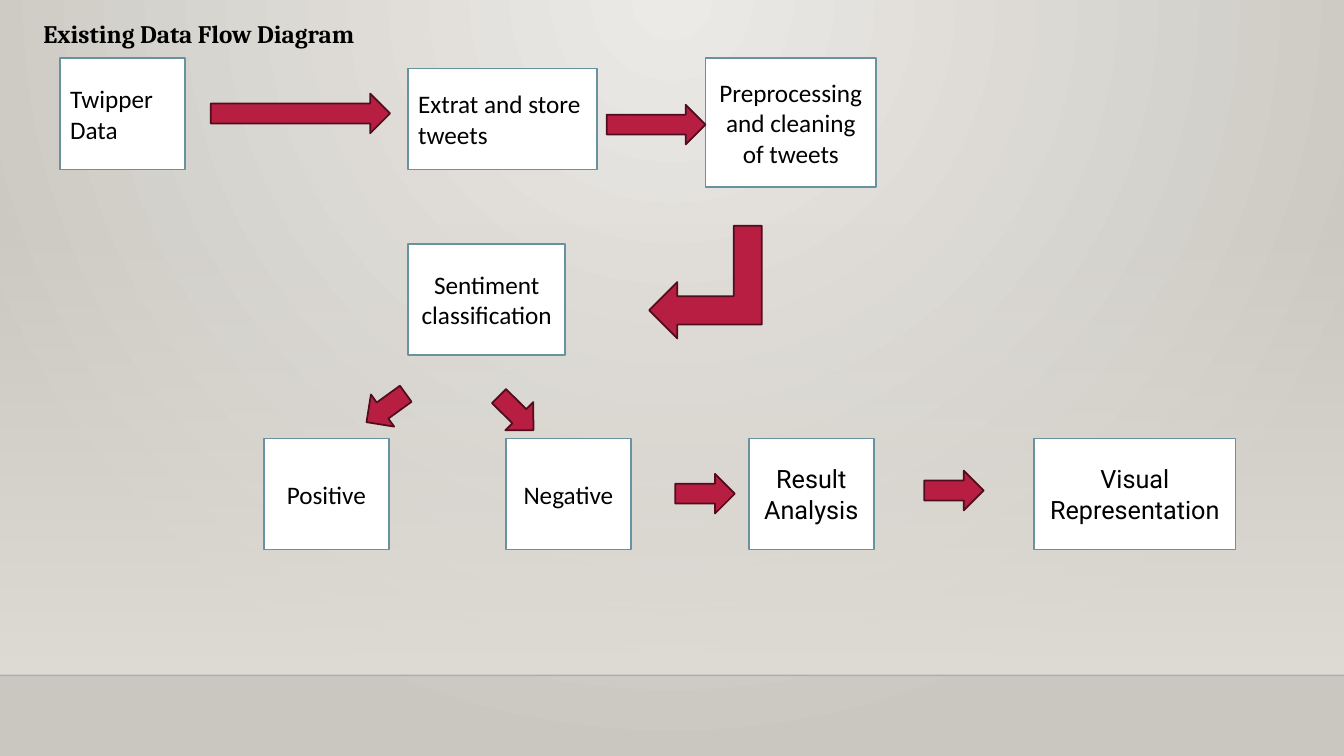
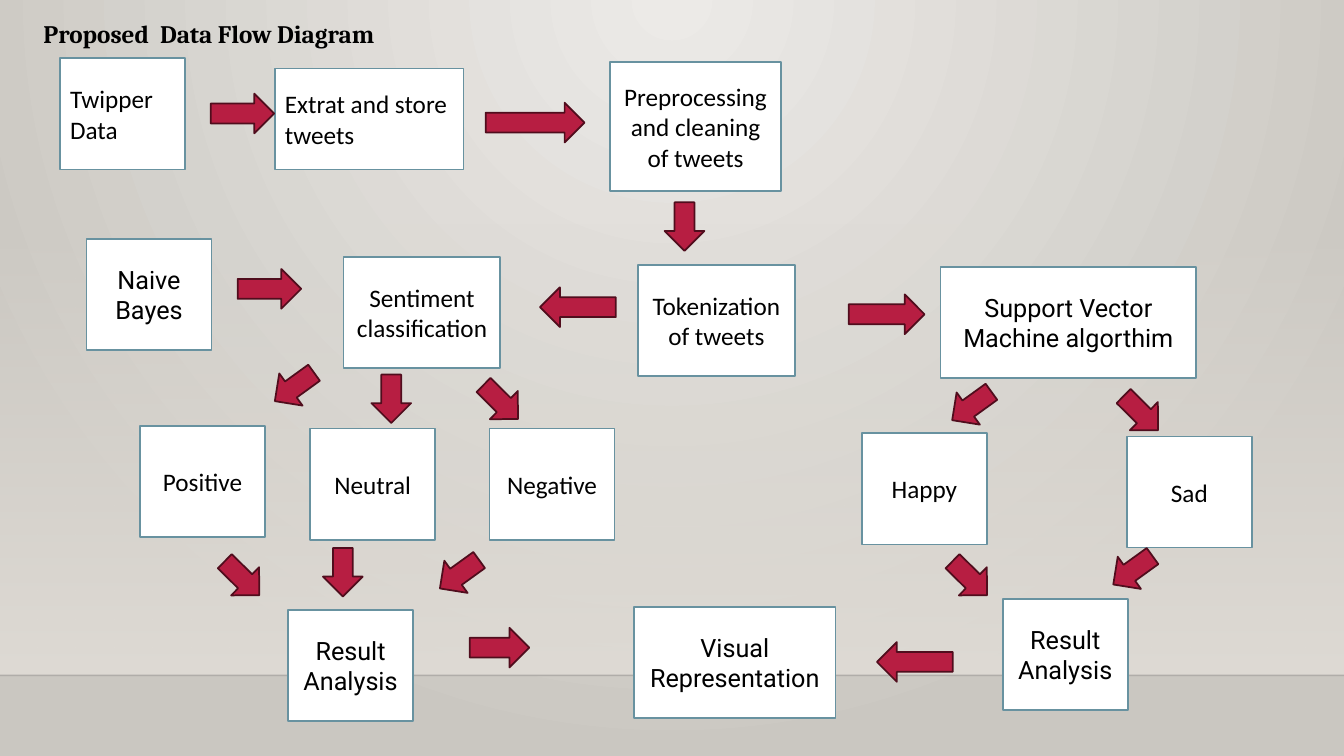
"""Build two data flow diagram slides for sentiment analysis of tweets."""
import pptx
import pptx.dml.color
import pptx.enum.shapes
import pptx.enum.text
import pptx.oxml
import pptx.oxml.ns
import pptx.util

Cm, Pt = pptx.util.Cm, pptx.util.Pt
qn = pptx.oxml.ns.qn
PRESET = pptx.enum.shapes.MSO_SHAPE
LEFT, CENTER = pptx.enum.text.PP_ALIGN.LEFT, pptx.enum.text.PP_ALIGN.CENTER

COLORS = {
    "glow": "ECEAE7", "backdrop": "CAC7C1", "band": "DFDBD5", "rule": "000001",
    "box": "FFFFFF", "box_edge": "6892A0", "arrow": "B71E42", "arrow_edge": "500D1D",
    "text": "000000",
}
RGB = {part: pptx.dml.color.RGBColor.from_string(value) for part, value in COLORS.items()}

STEPS = {
    "source": (["Twipper", "Data"], 3.15, 2.8, "Calibri", LEFT),
    "extract": (["Extrat and store tweets"], 4.75, 2.54, "Calibri", LEFT),
    "clean": (["Preprocessing and cleaning of tweets"], 4.3, 3.25, "Calibri", CENTER),
    "tokenize": (["Tokenization of tweets"], 3.95, 2.8, "Calibri", CENTER),
    "classify": (["Sentiment classification"], 3.95, 2.8, "Calibri", CENTER),
    "bayes": (["Naive Bayes"], 3.15, 2.8, "Roboto", CENTER),
    "svm": (["Support Vector Machine algorthim"], 6.45, 2.8, "Roboto", CENTER),
    "positive": (["Positive"], 3.15, 2.8, "Calibri", CENTER),
    "neutral": (["Neutral"], 3.15, 2.8, "Calibri", CENTER),
    "negative": (["Negative"], 3.15, 2.8, "Calibri", CENTER),
    "happy": (["Happy"], 3.15, 2.8, "Calibri", CENTER),
    "sad": (["Sad"], 3.15, 2.8, "Calibri", CENTER),
    "result": (["Result Analysis"], 3.15, 2.8, "Roboto", CENTER),
    "visual": (["Visual Representation"], 5.08, 2.8, "Roboto", CENTER),
}

DIRECTIONS = {
    "right": (PRESET.RIGHT_ARROW, 0, 1),
    "left": (PRESET.RIGHT_ARROW, 180, 1),
    "down": (PRESET.RIGHT_ARROW, 90, 1),
    "down_left": (PRESET.RIGHT_ARROW, 144.1, 1),
    "down_right": (PRESET.RIGHT_ARROW, 44.7, 1),
    "turn_left": (PRESET.BENT_UP_ARROW, 90, 2.84),
}
SHORT = 1.22

DIAGRAMS = [
    (
        "Existing Data Flow Diagram",
        [
            ("source", 1.52, 1.47), ("extract", 10.29, 1.73), ("clean", 17.78, 1.47),
            ("classify", 10.29, 6.15), ("positive", 6.65, 11.05),
            ("negative", 12.75, 11.05), ("result", 18.87, 11.05),
            ("visual", 26.06, 11.05),
        ],
        [
            ("right", 5.31, 2.36, 4.52), ("right", 15.29, 2.64, 2.49),
            ("turn_left", 16.36, 5.69, 2.84), ("down_left", 9.12, 9.78, SHORT),
            ("down_right", 12.4, 9.91, SHORT), ("right", 17.02, 11.94, 1.5),
            ("right", 23.29, 11.86, 1.5),
        ],
    ),
    (
        "Proposed  Data Flow Diagram",
        [
            ("source", 1.52, 1.47), ("extract", 6.93, 1.73), ("clean", 15.38, 1.57),
            ("bayes", 2.18, 6.02), ("classify", 8.66, 6.48), ("tokenize", 16.08, 6.68),
            ("svm", 23.7, 6.73), ("positive", 3.53, 10.74), ("neutral", 7.82, 10.8),
            ("negative", 12.34, 10.8), ("happy", 21.72, 10.92), ("sad", 28.4, 11),
            ("result", 7.26, 15.37), ("visual", 15.98, 15.29), ("result", 25.27, 15.09),
        ],
        [
            ("right", 5.31, 2.36, 1.6), ("right", 12.24, 2.59, 2.49),
            ("down", 16.64, 5.21, SHORT), ("right", 5.99, 6.78, 1.6),
            ("left", 13.61, 7.24, 1.91), ("right", 21.39, 7.42, 1.91),
            ("down_left", 6.81, 9.25, SHORT), ("down", 9.25, 9.55, SHORT),
            ("down_right", 12.01, 9.63, SHORT), ("down_left", 23.88, 9.73, SHORT),
            ("down_right", 28.14, 9.91, SHORT), ("down_right", 5.49, 14.07, SHORT),
            ("down", 8.03, 13.92, SHORT), ("down_left", 10.97, 13.97, SHORT),
            ("down_right", 23.83, 14.07, SHORT), ("down_left", 27.94, 13.87, SHORT),
            ("right", 11.84, 15.82, 1.5), ("left", 22.1, 16.18, 1.91),
        ],
    ),
]


def set_alpha(element, percent):
    """Make the first colour inside an element partly transparent."""
    color = element.find(".//" + qn("a:srgbClr"))
    pptx.oxml.ns  # namespace helpers
    color.append(pptx.oxml.parse_xml(
        f'<a:alpha {pptx.oxml.ns.nsdecls("a")} val="{percent * 1000}"/>'))


def add_block(slide, preset, bounds, fill, edge):
    """Add a flat filled shape with bounds in centimetres."""
    block = slide.shapes.add_shape(preset, *[Cm(length) for length in bounds])
    block.shadow.inherit = False
    block.fill.solid()
    block.fill.fore_color.rgb = RGB[fill]
    block.line.color.rgb = RGB[edge]
    block.line.width = Pt(1.25)
    return block


deck = pptx.Presentation()
deck.slide_width, deck.slide_height = Cm(33.87), Cm(19.05)
layout = deck.slide_layouts[5]
slides = [deck.slides.add_slide(layout) for diagram in DIAGRAMS]

backdrop = layout.background.fill
backdrop.gradient()
for stop, part in zip(backdrop.gradient_stops, ("glow", "backdrop")):
    stop.color.rgb = RGB[part]
linear = layout.element.find(".//" + qn("a:lin"))
linear.getparent().replace(linear, pptx.oxml.parse_xml(
    f'<a:path {pptx.oxml.ns.nsdecls("a")} path="circle">'
    '<a:fillToRect l="43000" t="0" r="43000" b="100000"/></a:path>'))

band = add_block(slides[0], PRESET.RECTANGLE, (0, 5.61, 33.87, 11.41), "band", "band")
band.line.fill.background()
band.fill.gradient()
band.fill.gradient_angle = 270
for stop in band.fill.gradient_stops:
    stop.color.rgb = RGB["band"]
set_alpha(band.element.spPr, 0)

rule = slides[0].shapes.add_connector(
    pptx.enum.shapes.MSO_CONNECTOR.STRAIGHT, Cm(0), Cm(17.02), Cm(33.87), Cm(17.02))
rule.line.color.rgb = RGB["rule"]
rule.line.width = Pt(1)
set_alpha(rule.element.spPr, 20)
rule.element.spPr.append(pptx.oxml.parse_xml(
    f'<a:effectLst {pptx.oxml.ns.nsdecls("a")}/>'))

for position, decoration in enumerate((band, rule)):
    decoration.element.find(".//" + qn("p:cNvPr")).set("id", str(100 + position))
    layout.shapes.element.insert(2 + position, decoration.element)

for slide, (heading, boxes, arrows) in zip(slides, DIAGRAMS):
    title = slide.shapes.title
    title.left, title.top, title.width, title.height = Cm(0.84), Cm(0.33), Cm(16.94), Cm(1.02)
    title.text_frame.word_wrap = True
    title.text_frame.auto_size = pptx.enum.text.MSO_AUTO_SIZE.SHAPE_TO_FIT_TEXT
    title.text_frame.vertical_anchor = pptx.enum.text.MSO_ANCHOR.TOP
    heading_line = title.text_frame.paragraphs[0]
    heading_line.alignment = LEFT
    heading_run = heading_line.add_run()
    heading_run.text = heading
    heading_run.font.name, heading_run.font.size = "Cambria", Pt(18)
    heading_run.font.bold = True
    heading_run.font.color.rgb = RGB["text"]

    for step, left, top in boxes:
        lines, width, height, font, alignment = STEPS[step]
        box = add_block(slide, PRESET.RECTANGLE, (left, top, width, height), "box", "box_edge")
        frame = box.text_frame
        frame.word_wrap = True
        frame.vertical_anchor = pptx.enum.text.MSO_ANCHOR.MIDDLE
        for number, line in enumerate(lines):
            paragraph = frame.add_paragraph() if number else frame.paragraphs[0]
            paragraph.alignment = alignment
            run = paragraph.add_run()
            run.text = line
            run.font.name, run.font.size = font, Pt(18)
            run.font.color.rgb = RGB["text"]

    for direction, left, top, length in arrows:
        preset, rotation, height = DIRECTIONS[direction]
        arrow = add_block(slide, preset, (left, top, length, height), "arrow", "arrow_edge")
        arrow.rotation = rotation
        if direction == "turn_left":
            arrow.element.spPr.find(qn("a:xfrm")).set("flipV", "1")

deck.save("out.pptx")
